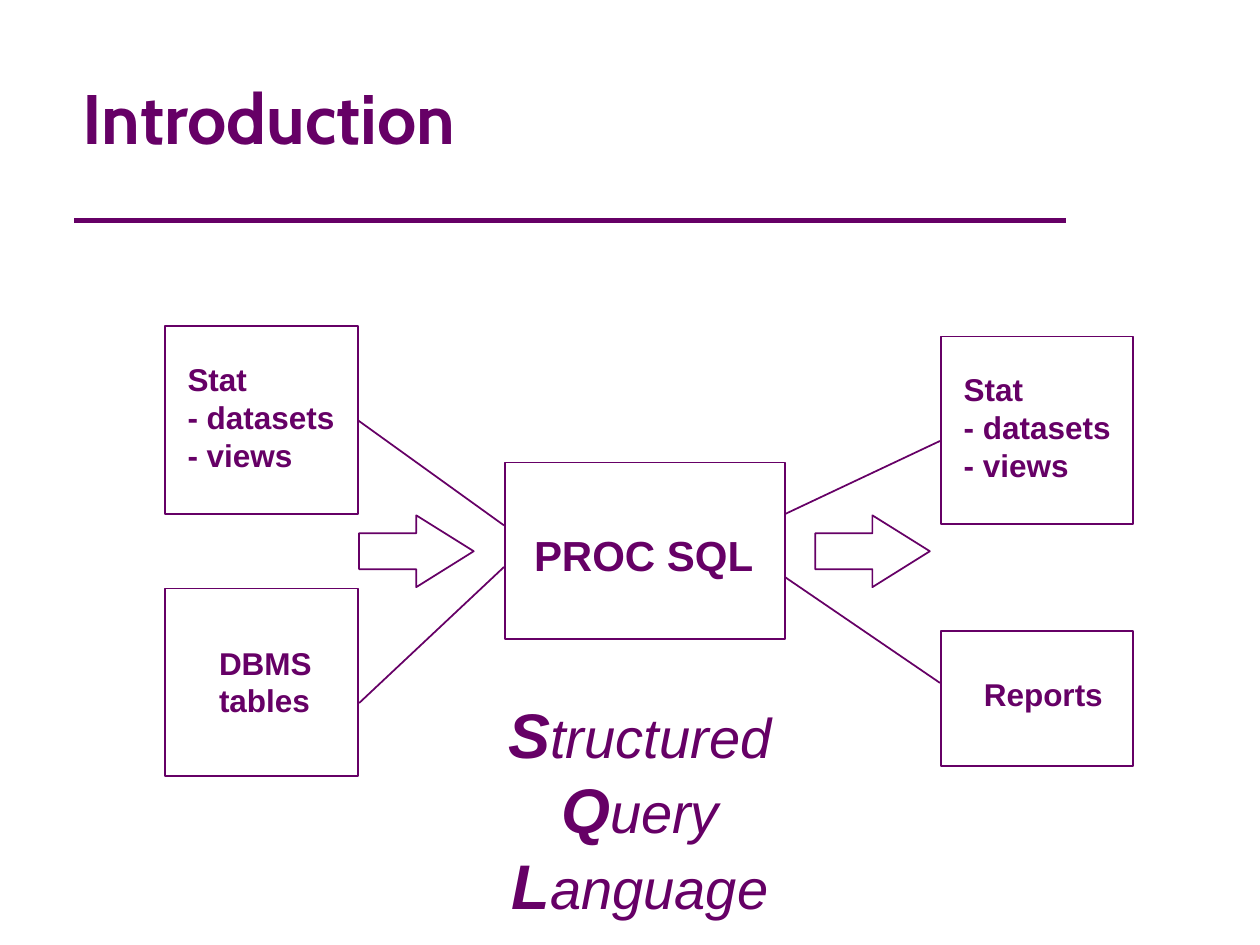
"""Build the introduction slide showing what goes into and out of PROC SQL."""
from pptx import Presentation, util as u
from pptx.dml.color import RGBColor
from pptx.enum import shapes as s, text as t
from pptx.oxml.ns import qn
from lxml import etree

PLUM = RGBColor(0x66, 0x00, 0x66)
WHITE = RGBColor(0xFF, 0xFF, 0xFF)

deck = Presentation()
deck.slide_width, deck.slide_height = u.Inches(10), u.Inches(7.5)
col, row = deck.slide_width / 100, deck.slide_height / 75
slide = deck.slides.add_slide(deck.slide_layouts[6])


def place(x, y, w, h):
    return round(x * col), round(y * row), round(w * col), round(h * row)


def write(para, text, size=18, bold=True, italic=False, font="Arial"):
    run = para.add_run()
    run.text = text
    run.font.size, run.font.name = u.Pt(size), font
    run.font.bold, run.font.italic = bold, italic
    run.font.color.rgb = PLUM


title = slide.shapes.add_textbox(*place(5.6, 4.2, 64.5, 10.8)).text_frame
title.word_wrap = True
title.vertical_anchor = t.MSO_ANCHOR.MIDDLE
title.paragraphs[0].line_spacing = 0.95
write(title.paragraphs[0], "Introduction", size=40, font="Cabin")

RECT, ARROW = s.MSO_SHAPE.RECTANGLE, s.MSO_SHAPE.RIGHT_ARROW
forms = {
    "source": (RECT, 13.1, 25.9, 15.3, 14.9),
    "dbms": (RECT, 13.1, 46.7, 15.3, 14.9),
    "proc": (RECT, 40.1, 36.7, 22.2, 14),
    "result": (RECT, 74.7, 26.7, 15.2, 14.9),
    "report": (RECT, 74.7, 50.1, 15.2, 10.7),
    "enter": (ARROW, 28.5, 40.9, 9.1, 5.7),
    "leave": (ARROW, 64.7, 40.9, 9.1, 5.7),
}
made = {}
for name, (kind, *area) in forms.items():
    form = slide.shapes.add_shape(kind, *place(*area))
    form.shadow.inherit = False
    form.fill.solid()
    form.fill.fore_color.rgb = WHITE
    form.line.color.rgb = PLUM
    form.line.width = u.Pt(1)
    if kind == ARROW:
        form.adjustments[1] = 0.8
    made[name] = form

tables = ["Stat", "- datasets", "- views"]
labels = [
    (tables, 18, (13.9, 28.1, 13.7, 10)),
    (["DBMS", "tables"], 18, (16.4, 50.6, 9.4, 7)),
    (["PROC SQL"], 24, (41.4, 41.5, 19.4, 5)),
    (tables, 18, (75.5, 28.9, 13.7, 10)),
    (["Reports"], 18, (77.1, 53.1, 11.5, 4)),
]
for lines, size, area in labels:
    frame = slide.shapes.add_textbox(*place(*area)).text_frame
    frame.word_wrap = False
    frame.auto_size = t.MSO_AUTO_SIZE.SHAPE_TO_FIT_TEXT
    for i, line in enumerate(lines):
        para = frame.add_paragraph() if i else frame.paragraphs[0]
        write(para, line, size=size)

links = [
    (84.6, 17.5, 5.9, 17.5, 3, None),
    (28.4, 33.35, 40, 41.7, 1, "source"),
    (28.5, 55.8, 40, 45, 1, None),
    (62.3, 40.8, 74.6, 35, 1, None),
    (62.3, 45.8, 74.6, 54.2, 1, None),
]
for x1, y1, x2, y2, width, start in links:
    ends = place(x1, y1, x2, y2)
    link = slide.shapes.add_connector(s.MSO_CONNECTOR.STRAIGHT, *ends)
    if start:
        link.begin_connect(made[start], 3)
    link.line.color.rgb = PLUM
    link.line.width = u.Pt(width)
    etree.SubElement(link.element.spPr, qn("a:effectLst"))

frame = slide.shapes.add_textbox(*place(39.2, 54.7, 23.2, 19)).text_frame
frame.word_wrap = True
para = frame.paragraphs[0]
para.alignment = t.PP_ALIGN.CENTER
for i, word in enumerate(["Structured", "Query", "Language"]):
    if i:
        para.add_line_break()
    write(para, word[0], size=36, italic=True)
    write(para, word[1:], size=32, bold=False, italic=True)

deck.save("out.pptx")
